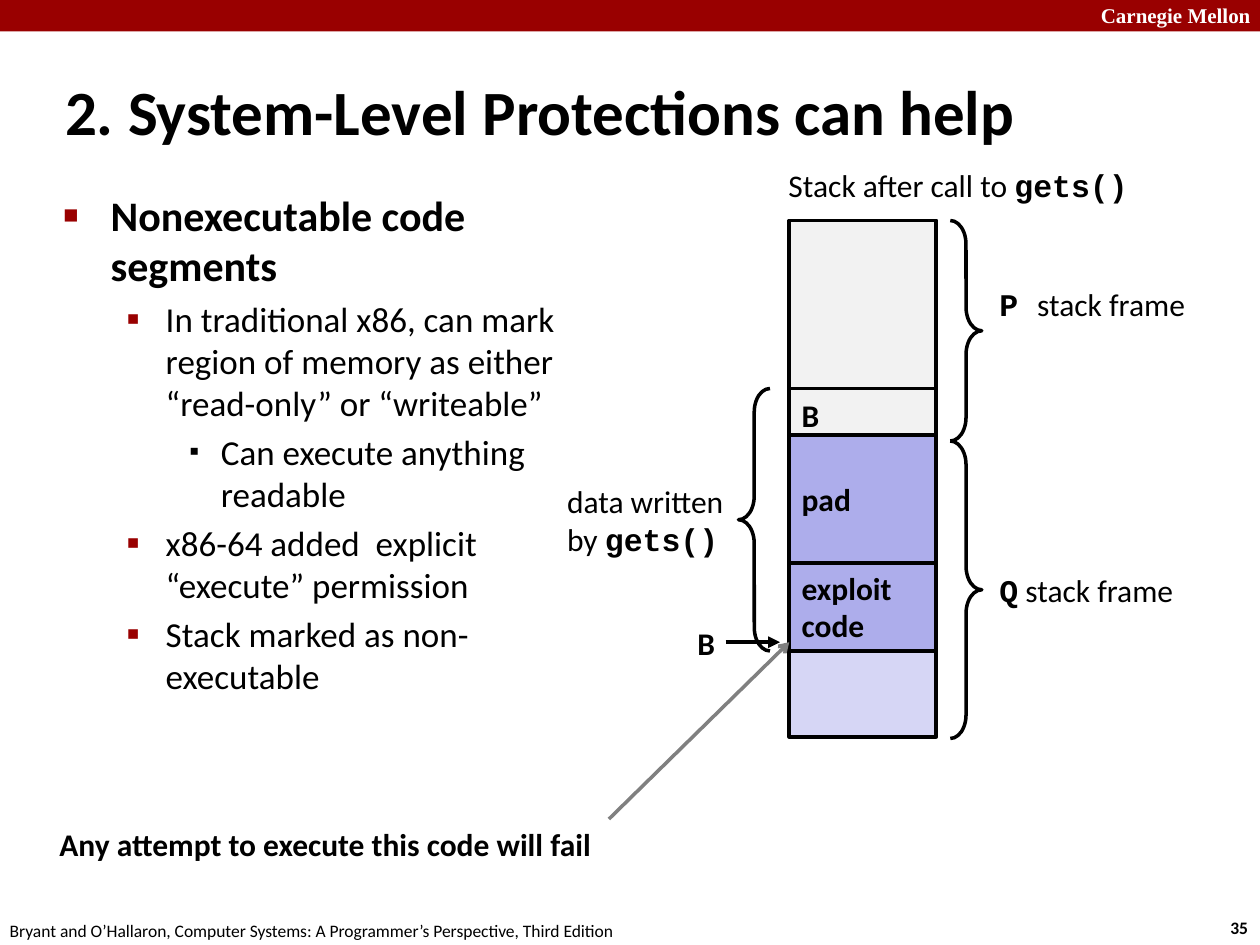
from dataclasses import dataclass

from lxml.etree import SubElement
from pptx import Presentation
from pptx.dml.color import RGBColor
from pptx.enum.shapes import MSO_CONNECTOR, MSO_SHAPE
from pptx.enum.text import MSO_ANCHOR, MSO_AUTO_SIZE, PP_ALIGN
from pptx.oxml.ns import qn
from pptx.util import Pt

COLORS = {
    "black": "000000", "white": "FFFFFF", "red": "990000", "gray": "808080",
    "caller": "F2F2F2", "written": "ADADEB", "callee": "D6D6F5",
}
STACK_LEFT, STACK_WIDTH = 451, 84


@dataclass
class Run:
    text: str
    bold: bool = False
    font: str = "Calibri"
    size: float = 18
    color: str = "black"


@dataclass
class Label:
    left: float
    top: float
    width: float
    height: float
    lines: list[list[Run]]
    align: PP_ALIGN = PP_ALIGN.LEFT


@dataclass
class Block:
    top: float
    height: float
    fill: str
    lines: tuple[str, ...] = ()


@dataclass
class Brace:
    left: float
    top: float
    height: float
    rotation: float


@dataclass
class Arrow:
    start: tuple[float, float]
    end: tuple[float, float]
    color: str
    width: float
    head: str


@dataclass
class Bullet:
    text: str
    level: int


@dataclass
class BulletStyle:
    symbol: str
    color: str
    percent: int
    margin: float
    hanging: float
    size: float
    bold: bool = False


BULLET_STYLES = [
    BulletStyle("■", "red", 60, 27, 27, 24, True),
    BulletStyle("▪", "red", 110, 58.5, 22.5, 20),
    BulletStyle("▪", "black", 80, 90, 18, 20),
]
BULLETS = [
    Bullet("Nonexecutable code segments", 0),
    Bullet("In traditional x86, can mark region of memory as either “read-only” or “writeable”", 1),
    Bullet("Can execute anything readable", 2),
    Bullet("x86-64 added  explicit “execute” permission", 1),
    Bullet("Stack marked as non-executable", 1),
]
BLOCKS = [
    Block(222, 30, "caller", ("B",)),
    Block(126, 96, "caller"),
    Block(372, 49, "callee"),
    Block(321, 51, "written", ("exploit", "code")),
    Block(248.5, 73, "written", ("pad",)),
]
BRACES = [Brace(543, 126, 126, 180), Brace(543, 252, 170, 180), Brace(422, 222, 150, 0)]
ARROWS = [
    Arrow((414.7, 367), (445.7, 367), "black", 2.25, "triangle"),
    Arrow((348, 468), (451, 367), "gray", 2, "arrow"),
]
GETS = Run("gets()", True, "Courier New")
LABELS = [
    Label(622, -2, 103, 21.6, [[Run("Carnegie Mellon", True, "Times New Roman", 12, "white")]]),
    Label(696, 520.5, 27, 19.4, [[Run("35", True, size=10)]]),
    Label(-1.5, 522, 366, 19.4, [[Run(
        "Bryant and O’Hallaron, Computer Systems: A Programmer’s Perspective, Third Edition", size=10)]]),
    Label(443.5, 91, 211, 29, [[Run("Stack after call to "), GETS]]),
    Label(564, 159, 122, 29, [[Run("P ", True, "Courier New"), Run("stack frame")]]),
    Label(564, 322.5, 116, 29, [[Run("Q", True, "Courier New"), Run(" stack frame")]]),
    Label(391.5, 353, 24.5, 29, [[Run("B", True)]]),
    Label(317, 271.5, 108, 51, [[Run("data written")], [Run("by "), GETS]]),
    Label(21, 468, 324, 29, [[Run("Any attempt to execute this code will fail", True)]], PP_ALIGN.RIGHT),
]


def rgb(name: str) -> RGBColor:
    return RGBColor.from_string(COLORS[name])


def format_run(run, style) -> None:
    run.font.name, run.font.size, run.font.bold = style.font, Pt(style.size), style.bold
    run.font.color.rgb = rgb(style.color)


def write_lines(text_frame, lines: list[list[Run]], align: PP_ALIGN = PP_ALIGN.LEFT) -> None:
    for index, line in enumerate(lines):
        paragraph = text_frame.add_paragraph() if index else text_frame.paragraphs[0]
        paragraph.alignment = align
        for style in line:
            run = paragraph.add_run()
            run.text = style.text
            format_run(run, style)


def place(shape, left: float, top: float, width: float, height: float) -> None:
    shape.left, shape.top, shape.width, shape.height = Pt(left), Pt(top), Pt(width), Pt(height)


def add_label(slide, label: Label) -> None:
    box = slide.shapes.add_textbox(Pt(label.left), Pt(label.top), Pt(label.width), Pt(label.height))
    box.text_frame.word_wrap = False
    box.text_frame.auto_size = MSO_AUTO_SIZE.SHAPE_TO_FIT_TEXT
    box.text_frame.vertical_anchor = MSO_ANCHOR.MIDDLE
    write_lines(box.text_frame, label.lines, label.align)


def add_block(slide, block: Block) -> None:
    shape = slide.shapes.add_shape(
        MSO_SHAPE.RECTANGLE, Pt(STACK_LEFT), Pt(block.top), Pt(STACK_WIDTH), Pt(block.height))
    shape.shadow.inherit = False
    shape.fill.solid()
    shape.fill.fore_color.rgb = rgb(block.fill)
    shape.line.color.rgb = rgb("black")
    shape.line.width = Pt(2.25)
    shape.text_frame.vertical_anchor = MSO_ANCHOR.MIDDLE
    write_lines(shape.text_frame, [[Run(line, True)] for line in block.lines])


def add_brace(slide, brace: Brace) -> None:
    shape = slide.shapes.add_shape(
        MSO_SHAPE.LEFT_BRACE, Pt(brace.left), Pt(brace.top), Pt(18), Pt(brace.height))
    shape.shadow.inherit = False
    shape.adjustments[0] = 0.75
    shape.rotation = brace.rotation
    shape.fill.background()
    shape.line.color.rgb = rgb("black")
    shape.line.width = Pt(2)


def add_arrow(slide, arrow: Arrow) -> None:
    connector = slide.shapes.add_connector(
        MSO_CONNECTOR.STRAIGHT, *(Pt(value) for value in arrow.start + arrow.end))
    connector.line.color.rgb = rgb(arrow.color)
    connector.line.width = Pt(arrow.width)
    properties = connector.element.spPr
    SubElement(properties.find(qn("a:ln")), qn("a:tailEnd"), type=arrow.head)
    SubElement(properties, qn("a:effectLst"))


def fill_title(title) -> None:
    place(title, 30, 42, 636, 42)
    title.text_frame.text = "2. System-Level Protections can help"
    title.text_frame.auto_size = MSO_AUTO_SIZE.NONE
    title.text_frame.vertical_anchor = MSO_ANCHOR.MIDDLE
    paragraph = title.text_frame.paragraphs[0]
    paragraph.alignment = PP_ALIGN.LEFT
    format_run(paragraph.runs[0], Run("", True, size=36))


def fill_body(body) -> None:
    place(body, 29, 104.5, 319, 411)
    text_frame = body.text_frame
    text_frame.auto_size = MSO_AUTO_SIZE.NONE
    for index, bullet in enumerate(BULLETS):
        style = BULLET_STYLES[bullet.level]
        paragraph = text_frame.add_paragraph() if index else text_frame.paragraphs[0]
        paragraph.text = bullet.text
        paragraph.level = bullet.level
        properties = paragraph._p.get_or_add_pPr()
        properties.set("marL", str(Pt(style.margin)))
        properties.set("indent", str(-Pt(style.hanging)))
        SubElement(SubElement(properties, qn("a:buClr")), qn("a:srgbClr"), val=COLORS[style.color])
        SubElement(properties, qn("a:buSzPct"), val=str(style.percent * 1000))
        SubElement(properties, qn("a:buChar"), char=style.symbol)
        paragraph.space_before = Pt(4 if index else 0)
        format_run(paragraph.runs[0], Run("", style.bold, size=style.size))


def main() -> None:
    presentation = Presentation()
    presentation.slide_width, presentation.slide_height = Pt(720), Pt(540)
    slide = presentation.slides.add_slide(presentation.slide_layouts[1])
    fill_title(slide.shapes.title)
    fill_body(slide.placeholders[1])
    banner = slide.shapes.add_shape(MSO_SHAPE.RECTANGLE, 0, 0, Pt(720), Pt(18))
    banner.shadow.inherit = False
    banner.fill.solid()
    banner.fill.fore_color.rgb = rgb("red")
    banner.line.fill.background()
    for draw, items in ((add_block, BLOCKS), (add_brace, BRACES), (add_arrow, ARROWS), (add_label, LABELS)):
        for item in items:
            draw(slide, item)
    presentation.save("out.pptx")


if __name__ == "__main__":
    main()
